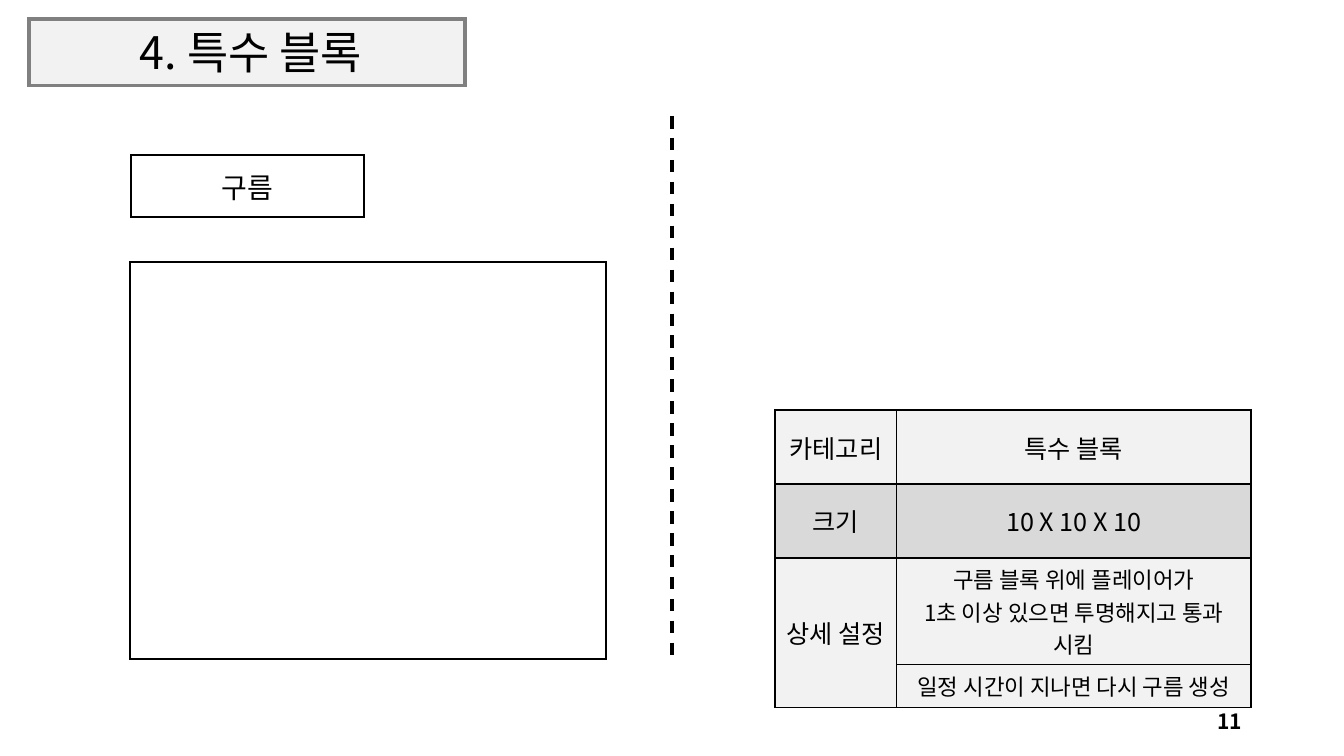
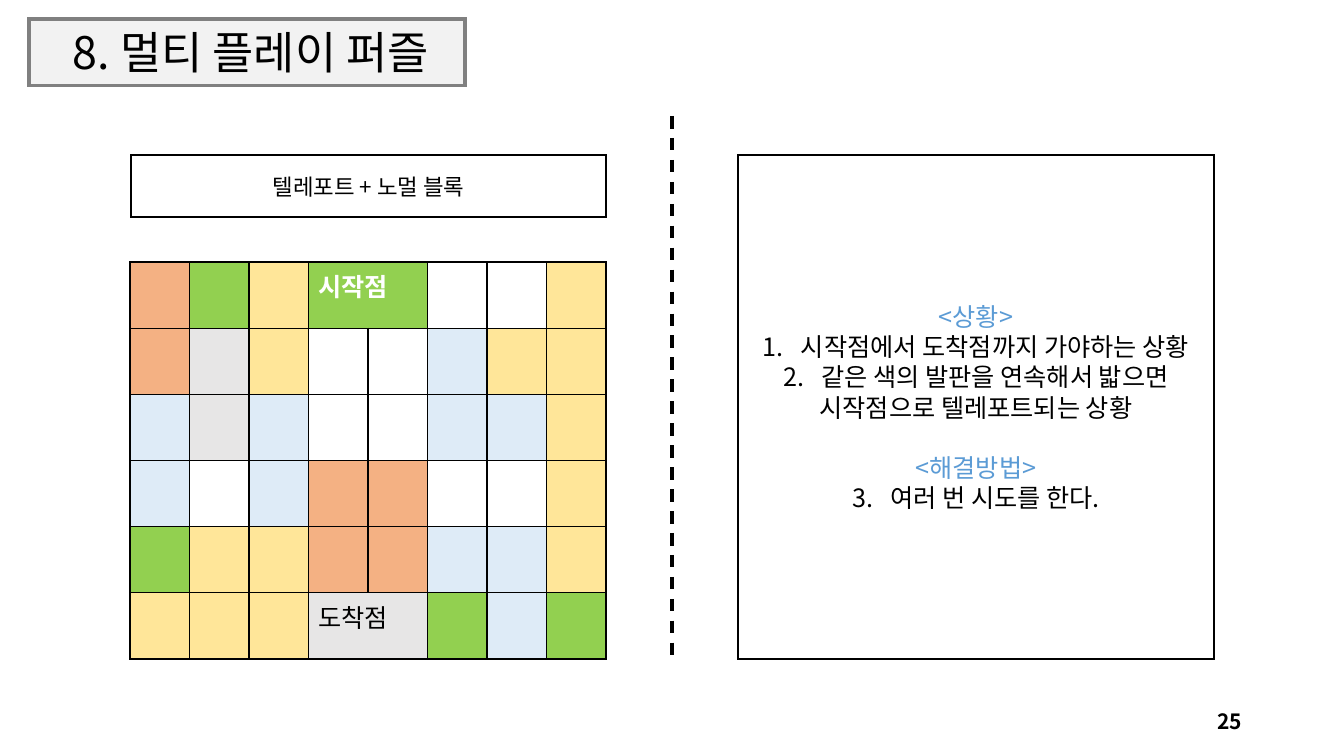
from collections.abc import Sequence
from dataclasses import dataclass

from lxml.etree import SubElement
from pptx import Presentation
from pptx.dml.color import RGBColor
from pptx.enum.dml import MSO_LINE
from pptx.enum.shapes import MSO_CONNECTOR, MSO_SHAPE
from pptx.enum.text import MSO_ANCHOR, MSO_AUTO_SIZE, PP_ALIGN
from pptx.oxml.ns import qn
from pptx.util import Emu, Pt

SLIDE_W, SLIDE_H = 1344, 756
EMU_PER_PX = 12192000 / SLIDE_W

FONT = "Noto Sans CJK KR"
BLACK = RGBColor(0x00, 0x00, 0x00)
WHITE = RGBColor(0xFF, 0xFF, 0xFF)
LIGHT = RGBColor(0xF2, 0xF2, 0xF2)
MID = RGBColor(0xD9, 0xD9, 0xD9)
DARK = RGBColor(0x80, 0x80, 0x80)
HEADING = RGBColor(0x5B, 0x9B, 0xD5)
ORANGE = RGBColor(0xF4, 0xB1, 0x83)
GREEN = RGBColor(0x92, 0xD0, 0x50)
YELLOW = RGBColor(0xFF, 0xE6, 0x99)
GRAY = RGBColor(0xE7, 0xE6, 0xE6)
BLUE = RGBColor(0xDE, 0xEB, 0xF7)


def px(n: int) -> Emu:
    return Emu(round(n * EMU_PER_PX))


@dataclass(frozen=True)
class Box:
    x: int
    y: int
    w: int
    h: int

    def emu(self) -> tuple[Emu, Emu, Emu, Emu]:
        return px(self.x), px(self.y), px(self.w), px(self.h)


@dataclass(frozen=True)
class Style:
    size: int = 18
    color: RGBColor = BLACK
    bold: bool = False
    align: PP_ALIGN = PP_ALIGN.CENTER
    anchor: MSO_ANCHOR = MSO_ANCHOR.MIDDLE


@dataclass(frozen=True)
class Cell:
    fill: RGBColor | None
    lines: tuple[str, ...] = ()
    style: Style = Style()
    rows: int = 1
    cols: int = 1


@dataclass(frozen=True)
class Line:
    text: str
    style: Style = Style()
    number: int = 0
    gap: bool = False


BAND = Box(29, 19, 436, 67)
TITLE = Box(42, 18, 418, 66)
PAGE = Box(950, 701, 302, 40)
LEFT_FRAME = Box(130, 262, 476, 397)
NOTE_FRAME = Box(738, 155, 476, 504)
DETAILS = Box(775, 410, 476, 222)
DIVIDER_X, DIVIDER_TOP, DIVIDER_BOTTOM = 672, 116, 659
LABEL_X, LABEL_Y, LABEL_H = 131, 155, 62
NUMBER_INDENT = 38
LINE_PITCH = Pt(21.6)

TITLE_STYLE = Style(32, anchor=MSO_ANCHOR.BOTTOM)
PAGE_STYLE = Style(15, bold=True, align=PP_ALIGN.RIGHT)
SMALL = Style(16)
HEADING_STYLE = Style(color=HEADING)

DETAIL_ROWS = (
    (Cell(LIGHT, ("카테고리",)), Cell(LIGHT, ("특수 블록",))),
    (Cell(MID, ("크기",)), Cell(MID, ("10 X 10 X 10",))),
    (Cell(LIGHT, ("상세 설정",), rows=2),
     Cell(LIGHT, ("구름 블록 위에 플레이어가", "1초 이상 있으면 투명해지고 통과 시킴"), SMALL)),
    (Cell(LIGHT), Cell(LIGHT, ("일정 시간이 지나면 다시 구름 생성",), SMALL)),
)

TILES = {"O": ORANGE, "G": GREEN, "Y": YELLOW, "S": GRAY, "B": BLUE, ".": None}
PUZZLE = ("OGYGG..Y", "OSY..BYY", "BSB..BBY", "B.BOO..Y", "GYYOOBBY", "YYYSSGBG")
START = Cell(GREEN, ("시작점",), Style(18, WHITE, True, PP_ALIGN.LEFT, MSO_ANCHOR.TOP), cols=2)
GOAL = Cell(GRAY, ("도착점",), Style(align=PP_ALIGN.LEFT, anchor=MSO_ANCHOR.TOP), cols=2)
MARKED_TILES = {(0, 3): START, (5, 3): GOAL}

NOTES = (
    Line("<상황>", HEADING_STYLE),
    Line("시작점에서 도착점까지 가야하는 상황", number=1),
    Line("같은 색의 발판을 연속해서 밟으면", number=1),
    Line("시작점으로 텔레포트되는 상황"),
    Line("<해결방법>", HEADING_STYLE, gap=True),
    Line("여러 번 시도를 한다.", number=3),
)


def add_run(p, text: str, style: Style) -> None:
    p.alignment = style.align
    r = p.add_run()
    r.text = text
    r.font.name = FONT
    r.font.size = Pt(style.size)
    r.font.bold = style.bold
    r.font.color.rgb = style.color
    SubElement(r.font._element, qn("a:ea"), typeface=FONT)


def add_lines(tf, lines: Sequence[str], style: Style) -> None:
    for i, text in enumerate(lines):
        add_run(tf.add_paragraph() if i else tf.paragraphs[0], text, style)


def add_rect(s, box: Box, fill: RGBColor | None, line: RGBColor, width: float):
    sp = s.shapes.add_shape(MSO_SHAPE.RECTANGLE, *box.emu())
    sp.shadow.inherit = False
    if fill is None:
        sp.fill.background()
    else:
        sp.fill.solid()
        sp.fill.fore_color.rgb = fill
    sp.line.color.rgb = line
    sp.line.width = Pt(width)
    SubElement(sp.line._get_or_add_ln(), qn("a:miter"), lim="800000")
    return sp


def add_borders(cell) -> None:
    tc_pr = cell._tc.get_or_add_tcPr()
    for side in "LRTB":
        ln = SubElement(tc_pr, qn(f"a:ln{side}"), w=str(Pt(1)))
        fill = SubElement(ln, qn("a:solidFill"))
        SubElement(fill, qn("a:srgbClr"), val=str(BLACK))


def add_grid(s, box: Box, col_weights: Sequence[int], row_weights: Sequence[int],
             rows: Sequence[Sequence[Cell]]) -> None:
    """Draw a table whose columns and rows share the box by weight."""
    table = s.shapes.add_table(len(row_weights), len(col_weights), *box.emu()).table
    table.first_row = table.horz_banding = False
    for col, weight in zip(table.columns, col_weights):
        col.width = Emu(px(box.w) * weight // sum(col_weights))
    for row, weight in zip(table.rows, row_weights):
        row.height = Emu(px(box.h) * weight // sum(row_weights))
    for i, row_cells in enumerate(rows):
        for j, data in enumerate(row_cells):
            cell = table.cell(i, j)
            add_borders(cell)
            if data.fill is None:
                cell.fill.background()
            else:
                cell.fill.solid()
                cell.fill.fore_color.rgb = data.fill
            cell.vertical_anchor = data.style.anchor
            add_lines(cell.text_frame, data.lines, data.style)
            if data.rows * data.cols > 1:
                cell.merge(table.cell(i + data.rows - 1, j + data.cols - 1))


def add_label(s, text: str, width: int, style: Style) -> None:
    add_grid(s, Box(LABEL_X, LABEL_Y, width, LABEL_H), (1,), (1,),
             ((Cell(WHITE, (text,), style),),))


def add_divider(s) -> None:
    line = s.shapes.add_connector(MSO_CONNECTOR.STRAIGHT, px(DIVIDER_X), px(DIVIDER_TOP),
                                  px(DIVIDER_X), px(DIVIDER_BOTTOM))
    line.line.color.rgb = BLACK
    line.line.width = Pt(2.25)
    line.line.dash_style = MSO_LINE.DASH
    SubElement(line._element.spPr, qn("a:effectLst"))


def add_notes(s) -> None:
    tf = add_rect(s, NOTE_FRAME, None, BLACK, 1.5).text_frame
    tf.word_wrap = True
    tf.vertical_anchor = MSO_ANCHOR.MIDDLE
    for i, line in enumerate(NOTES):
        p = tf.add_paragraph() if i else tf.paragraphs[0]
        p.line_spacing = LINE_PITCH
        if line.gap:
            p.space_before = LINE_PITCH
        if line.number:
            p_pr = p._p.get_or_add_pPr()
            p_pr.set("marL", str(px(NUMBER_INDENT)))
            p_pr.set("indent", str(-px(NUMBER_INDENT)))
            num = SubElement(p_pr, qn("a:buAutoNum"), type="arabicPeriod")
            if line.number > 1:
                num.set("startAt", str(line.number))
        add_run(p, line.text, line.style)


def add_slide(prs, title: str, page: int):
    """Add a slide with the shared title, page number and divider."""
    s = prs.slides.add_slide(prs.slide_layouts[5])
    sp = s.shapes.title
    sp.left, sp.top, sp.width, sp.height = TITLE.emu()
    band = add_rect(s, BAND, LIGHT, DARK, 2.25)
    sp._element.addprevious(band._element)
    number = s.shapes.add_textbox(*PAGE.emu())
    for shape, text, style in ((sp, title, TITLE_STYLE), (number, str(page), PAGE_STYLE)):
        tf = shape.text_frame
        tf.word_wrap = True
        tf.auto_size = MSO_AUTO_SIZE.NONE
        tf.vertical_anchor = style.anchor
        add_lines(tf, (text,), style)
    sp.text_frame.paragraphs[0].line_spacing = 0.9
    add_divider(s)
    return s


def add_cloud_slide(prs) -> None:
    s = add_slide(prs, "4. 특수 블록", 11)
    add_label(s, "구름", 233, Style(20))
    add_grid(s, DETAILS, (121, 352), (2, 2, 1, 1), DETAIL_ROWS)
    add_rect(s, LEFT_FRAME, None, BLACK, 1.5)


def add_puzzle_slide(prs) -> None:
    s = add_slide(prs, "8. 멀티 플레이 퍼즐", 25)
    add_label(s, "텔레포트 + 노멀 블록", 475, SMALL)
    add_notes(s)
    tiles = [[MARKED_TILES.get((i, j), Cell(TILES[key])) for j, key in enumerate(row)]
             for i, row in enumerate(PUZZLE)]
    add_grid(s, LEFT_FRAME, (1,) * len(PUZZLE[0]), (1,) * len(PUZZLE), tiles)


def main() -> None:
    prs = Presentation()
    prs.slide_width, prs.slide_height = px(SLIDE_W), px(SLIDE_H)
    add_cloud_slide(prs)
    add_puzzle_slide(prs)
    prs.save("out.pptx")


if __name__ == "__main__":
    main()
